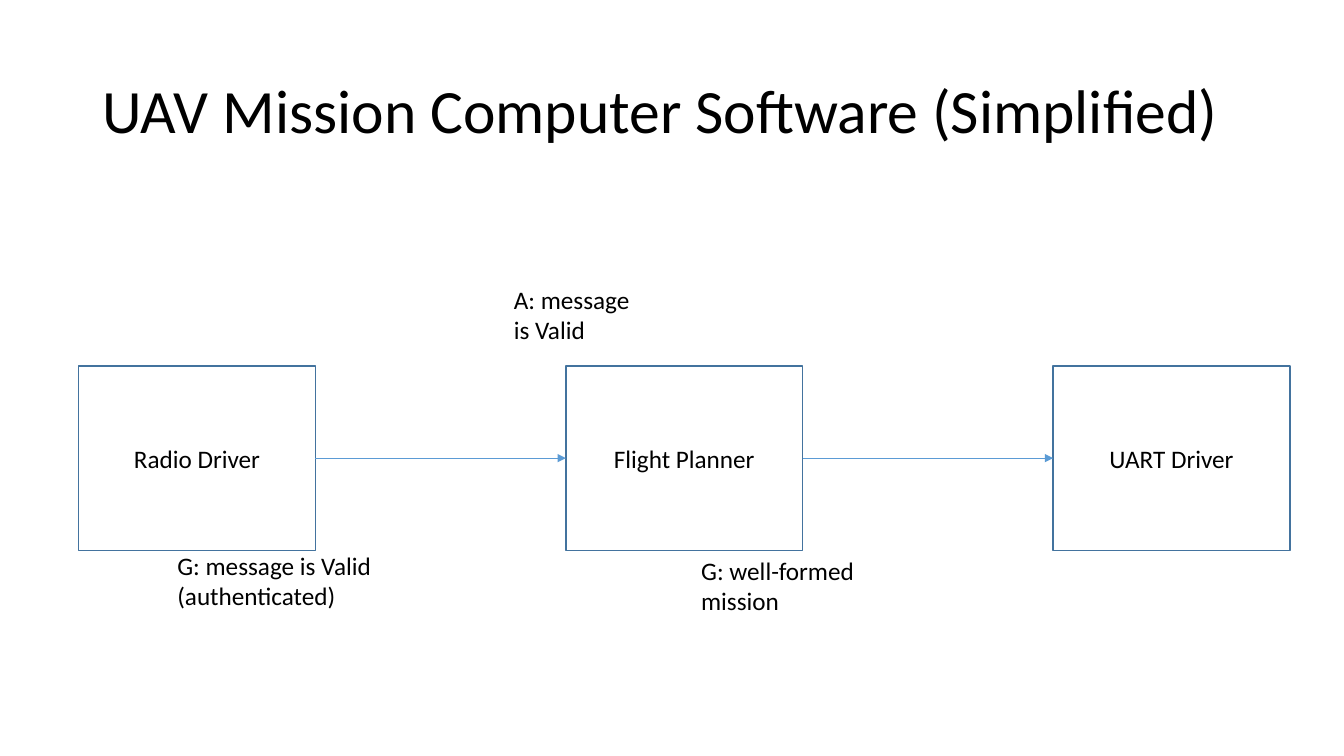
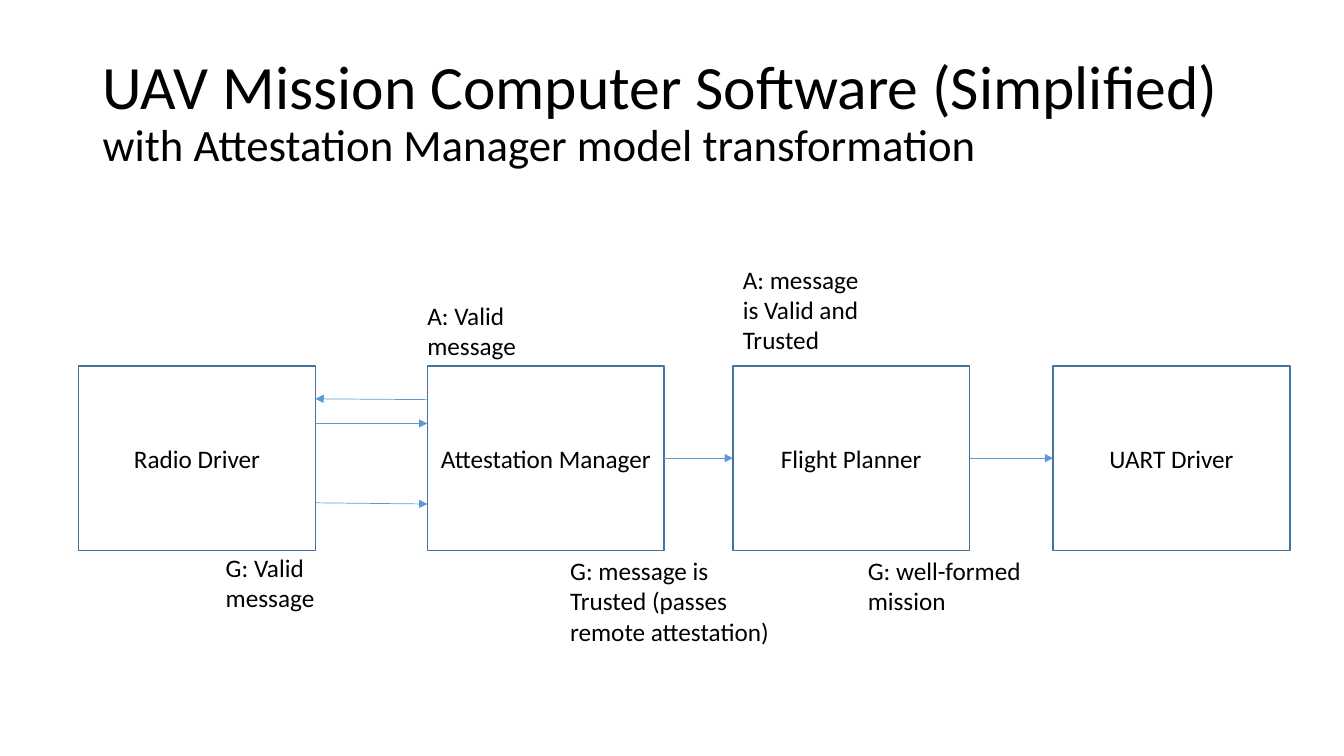
from lxml import etree
from pptx import Presentation
from pptx.dml.color import RGBColor
from pptx.enum.shapes import MSO_CONNECTOR, MSO_SHAPE
from pptx.enum.text import MSO_ANCHOR, MSO_AUTO_SIZE, PP_ALIGN
from pptx.oxml.ns import qn
from pptx.util import Cm, Pt

RECTANGLE = MSO_SHAPE.RECTANGLE
STRAIGHT = MSO_CONNECTOR.STRAIGHT
MIDDLE = MSO_ANCHOR.MIDDLE
CENTER = PP_ALIGN.CENTER
LEFT = PP_ALIGN.LEFT
GROW = MSO_AUTO_SIZE.SHAPE_TO_FIT_TEXT

COLORS = {"text": "000000", "outline": "43739E", "arrow": "5B9BD5"}
FONT = "Calibri"
TITLE = "UAV Mission Computer Software (Simplified)"

BOX_TOP, BOX_WIDTH, BOX_HEIGHT = 9.22, 5.97, 4.65
RADIO_LEFT, UART_LEFT = 1.98, 26.54
LEFT_SITE, RIGHT_SITE = 1, 3


class Deck:
    def __init__(self):
        self.presentation = Presentation()
        self.presentation.slide_width = Cm(33.87)
        self.presentation.slide_height = Cm(19.05)
        self.slide = None

    def new_slide(self, subtitle=None):
        layout = self.presentation.slide_layouts[6]
        self.slide = self.presentation.slides.add_slide(layout)
        frame = self.text_frame(2.34, 1.02, 29.21, 3.68)
        frame.vertical_anchor = MIDDLE
        paragraph = frame.paragraphs[0]
        paragraph.line_spacing = 0.9
        self.run(paragraph, TITLE, 44)
        if subtitle:
            paragraph.add_line_break()
            self.run(paragraph, subtitle, 32)

    def text_frame(self, left, top, width, height):
        shape = self.slide.shapes.add_textbox(Cm(left), Cm(top), Cm(width), Cm(height))
        shape.text_frame.word_wrap = True
        return shape.text_frame

    def run(self, paragraph, text, size=18):
        run = paragraph.add_run()
        run.text = text
        run.font.name = FONT
        run.font.size = Pt(size)
        run.font.color.rgb = RGBColor.from_string(COLORS["text"])

    def line(self, shape, color, width):
        shape.line.color.rgb = RGBColor.from_string(COLORS[color])
        shape.line.width = Pt(width)

    def label(self, text, left, top, width, lines=2):
        frame = self.text_frame(left, top, width, 0.26 + 0.77 * lines)
        frame.auto_size = GROW
        paragraph = frame.paragraphs[0]
        paragraph.alignment = LEFT
        self.run(paragraph, text)

    def box(self, text, left):
        shape = self.slide.shapes.add_shape(
            RECTANGLE, Cm(left), Cm(BOX_TOP), Cm(BOX_WIDTH), Cm(BOX_HEIGHT))
        shape.shadow.inherit = False
        shape.fill.background()
        self.line(shape, "outline", 1)
        shape.text_frame.vertical_anchor = MIDDLE
        paragraph = shape.text_frame.paragraphs[0]
        paragraph.alignment = CENTER
        self.run(paragraph, text)
        return shape

    def arrow(self, start_x=0, start_y=0, end_x=0, end_y=0):
        connector = self.slide.shapes.add_connector(
            STRAIGHT, Cm(start_x), Cm(start_y), Cm(end_x), Cm(end_y))
        self.line(connector, "arrow", 0.5)
        properties = connector.element.spPr
        etree.SubElement(properties.find(qn("a:ln")), qn("a:tailEnd"), type="triangle")
        etree.SubElement(properties, qn("a:effectLst"))
        return connector

    def link(self, source, target):
        connector = self.arrow()
        connector.begin_connect(source, RIGHT_SITE)
        connector.end_connect(target, LEFT_SITE)


deck = Deck()

deck.new_slide()
radio = deck.box("Radio Driver", RADIO_LEFT)
planner = deck.box("Flight Planner", (RADIO_LEFT + UART_LEFT) / 2)
uart = deck.box("UART Driver", UART_LEFT)
deck.link(radio, planner)
deck.link(planner, uart)
deck.label("G: message is Valid (authenticated)", 4.22, 13.74, 5.61)
deck.label("A: message is Valid", 12.7, 7.04, 3.86)
deck.label("G: well-formed mission", 17.42, 13.87, 5.61)

deck.new_slide("with Attestation Manager model transformation")
manager_left = 10.77
radio = deck.box("Radio Driver", RADIO_LEFT)
manager = deck.box("Attestation Manager", manager_left)
planner = deck.box("Flight Planner", 18.47)
uart = deck.box("UART Driver", UART_LEFT)
deck.link(manager, planner)
deck.link(planner, uart)
radio_right = RADIO_LEFT + BOX_WIDTH
deck.arrow(manager_left, 10.07, radio_right, 10.05)
deck.arrow(radio_right, 10.67, manager_left, 10.67)
deck.arrow(radio_right, 12.67, manager_left, 12.7)
deck.label("G: Valid message", 5.44, 13.79, 3.73)
deck.label("A: Valid message", 10.52, 7.44, 3.86)
deck.label("G: message is Trusted (passes remote attestation)", 14.12, 13.87, 5.61, 3)
deck.label("A: message is Valid and Trusted", 18.47, 6.53, 3.86, 3)
deck.label("G: well-formed mission", 21.62, 13.87, 5.61)

deck.presentation.save("out.pptx")
